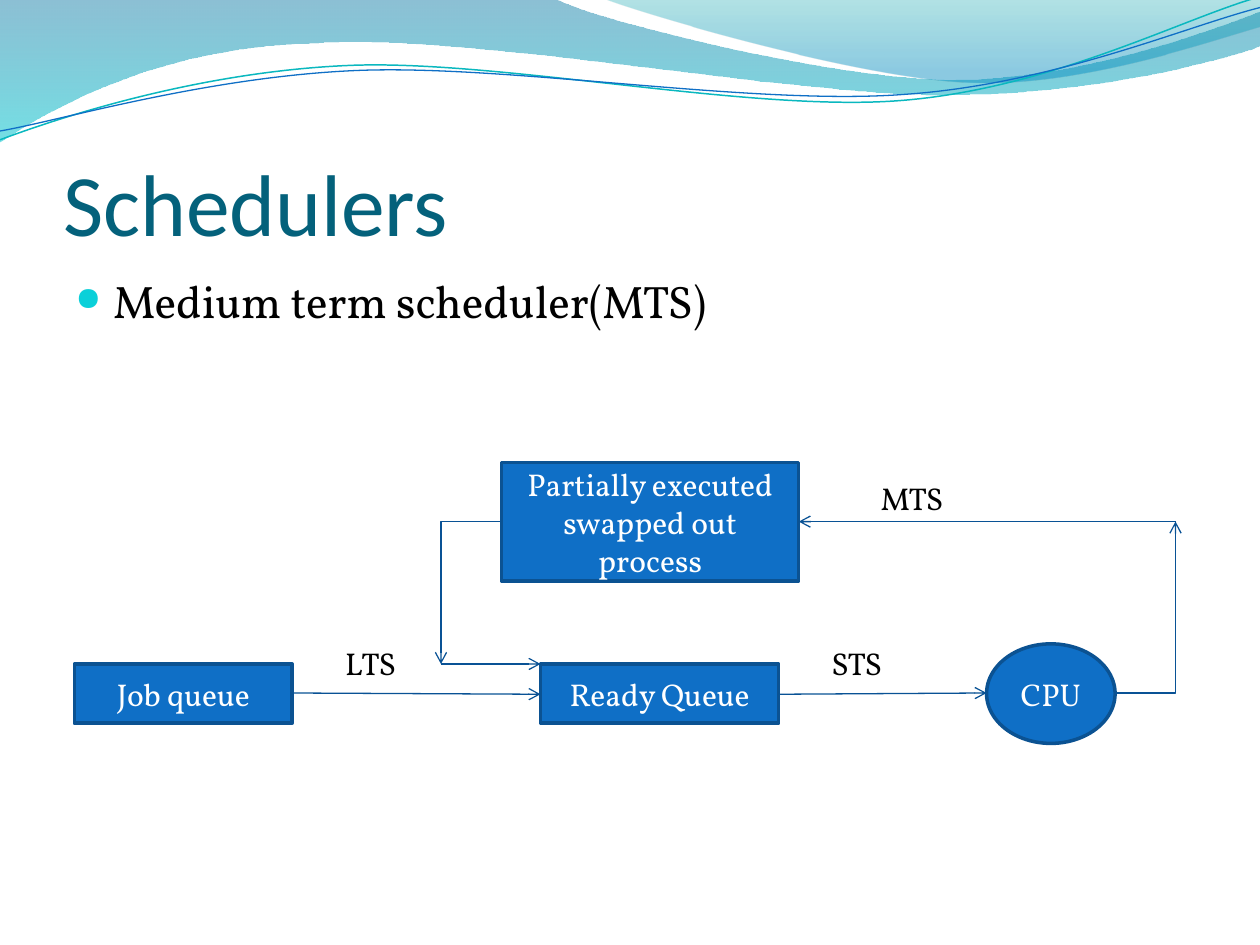
from lxml import etree
from pptx import Presentation
from pptx import util as u
from pptx.dml import color
from pptx.enum import shapes, text
from pptx.oxml import ns

WAVES = [
    dict(start=(0, 0), steps=[
        (4.4, -0.01), (4.76, 0.17, 6.64, 0.63, 7.58, 0.63),
        (8.53, 0.63, 9.58, 0.26, 10, 0.09), (10.01, 0.36),
        (9.83, 0.44, 8.7, 0.76, 7.46, 0.75), (6.22, 0.75, 3.82, 0.28, 2.57, 0.34),
        (1.29, 0.36, 0.46, 0.83, -0.01, 1.13)],
        stops=[(0, "0074A1", 45), (1, "00C6CF", 55)]),
    dict(start=(4.79, -0.01), steps=[
        (5.09, 0.11, 6.82, 0.62, 7.69, 0.65), (8.56, 0.69, 9.61, 0.32, 10, 0.21), (10, 0)],
        stops=[(0, "00A1A9", 30), (0.8, "008BBF", 45)]),
    dict(start=(0, 1.11), steps=[
        (0.48, 0.93, 1.58, 0.57, 2.77, 0.52), (3.95, 0.47, 5.93, 0.89, 7.13, 0.8),
        (8.33, 0.71, 9.38, 0.15, 9.98, -0.02)], line=("0AB8BF", 0.85)),
    dict(start=(0, 1.04), steps=[
        (0.47, 0.96, 1.64, 0.61, 2.83, 0.56), (4.03, 0.51, 5.97, 0.84, 7.17, 0.75),
        (8.36, 0.67, 9.41, 0.21, 10, 0.06)], line=("0F6FC6", 0.75)),
]


def rgb(value):
    """Return the colour for a hex string."""
    return color.RGBColor.from_string(value)


def inches(values):
    """Convert a sequence of numbers to lengths."""
    return [u.Inches(value) for value in values]


def add_xml(parent, tag, **attributes):
    """Append a DrawingML element with the given attributes."""
    return etree.SubElement(parent, ns.qn(tag), attributes)


def write(shape, words, font="Vollkorn", size=18, fill="000000", align="LEFT",
          anchor="TOP", fit="NONE", insets=(0.1, 0.05, 0.1, 0.05)):
    """Put formatted text into a shape and return its paragraph."""
    frame = shape.text_frame
    frame.word_wrap = True
    frame.auto_size = getattr(text.MSO_AUTO_SIZE, fit)
    frame.vertical_anchor = getattr(text.MSO_ANCHOR, anchor)
    (frame.margin_left, frame.margin_top,
     frame.margin_right, frame.margin_bottom) = inches(insets)
    paragraph = frame.paragraphs[0]
    paragraph.alignment = getattr(text.PP_ALIGN, align)
    run = paragraph.add_run()
    run.text = words
    run.font.name, run.font.size = font, u.Pt(size)
    run.font.color.rgb = rgb(fill)
    return paragraph


def bend(shape, steps):
    """Turn each three segments of a cubic step into one curve."""
    segments = iter(list(shape._element.spPr.iter(ns.qn("a:lnTo"))))
    for step in steps:
        group = [next(segments) for _ in range(len(step) // 2)]
        if len(group) == 3:
            group[0].tag = ns.qn("a:cubicBezTo")
            for segment in group[1:]:
                group[0].append(segment[0])
                segment.getparent().remove(segment)


class SchedulerSlide:
    """Hold the diagram style and the current slide."""

    box_fill, box_line, arrow_line = "0F6FC6", "0B5292", "095295"

    def __init__(self, presentation):
        self.slide = presentation.slides.add_slide(presentation.slide_layouts[5])
        self.shapes = self.slide.shapes

    def wave(self, start, steps, stops=None, line=None):
        """Draw a gradient wave or a curved line."""
        builder = self.shapes.build_freeform(*inches(start))
        points = [inches(step[index:index + 2])
                  for step in steps for index in range(0, len(step), 2)]
        builder.add_line_segments(points, close=bool(stops))
        shape = builder.convert_to_shape()
        bend(shape, steps)
        shape.shadow.inherit = False
        if line:
            shape.fill.background()
            shape.line.color.rgb, shape.line.width = rgb(line[0]), u.Pt(line[1])
            return
        shape.line.fill.background()
        shape.fill.gradient()
        shape.fill.gradient_angle = 270
        for stop, (position, shade, _) in zip(shape.fill.gradient_stops, stops):
            stop.position, stop.color.rgb = position, rgb(shade)
        shades = shape._element.spPr.iter(ns.qn("a:srgbClr"))
        for element, (_, _, opacity) in zip(list(shades), stops):
            add_xml(element, "a:alpha", val=str(opacity * 1000))

    def title(self, words, place):
        """Place the title in front of the waves."""
        title = self.shapes.title
        title.left, title.top, title.width, title.height = inches(place)
        write(title, words, font="Calibri", size=50, fill="04617B",
              anchor="BOTTOM", insets=(0, 0.05, 0, 0))
        self.shapes._spTree.append(title._element)

    def bullet(self, words, place):
        """Add a bulleted line of body text."""
        paragraph = write(self.shapes.add_textbox(*inches(place)), words, size=26)
        paragraph.space_before = u.Pt(5)
        properties = paragraph._p.get_or_add_pPr()
        properties.set("marL", str(u.Inches(0.3)))
        properties.set("indent", str(u.Inches(-0.3)))
        add_xml(add_xml(properties, "a:buClr"), "a:srgbClr", val="0BD0D9")
        add_xml(properties, "a:buSzPct", val="72000")
        add_xml(properties, "a:buChar", char="●")

    def node(self, words, place, kind="RECTANGLE"):
        """Add a filled shape with centred text."""
        shape = self.shapes.add_shape(getattr(shapes.MSO_SHAPE, kind), *inches(place))
        shape.shadow.inherit = False
        shape.fill.solid()
        shape.fill.fore_color.rgb = rgb(self.box_fill)
        shape.line.color.rgb, shape.line.width = rgb(self.box_line), u.Pt(2)
        write(shape, words, fill="FFFFFF", align="CENTER", anchor="MIDDLE")

    def label(self, words, left, top):
        """Add a label above an arrow."""
        box = self.shapes.add_textbox(*inches((left, top, 1.18, 0.42)))
        write(box, words, fit="SHAPE_TO_FIT_TEXT")

    def arrow(self, start, end, bent=False):
        """Add a straight or one-corner arrow."""
        kind = shapes.MSO_CONNECTOR.ELBOW if bent else shapes.MSO_CONNECTOR.STRAIGHT
        connector = self.shapes.add_connector(kind, *inches(start + end))
        connector.line.color.rgb, connector.line.width = rgb(self.arrow_line), u.Pt(0.75)
        properties = connector._element.spPr
        if bent:
            properties.find(ns.qn("a:prstGeom")).set("prst", "bentConnector2")
        add_xml(connector.line._get_or_add_ln(), "a:tailEnd", type="arrow")
        add_xml(properties, "a:effectLst")


def main():
    """Build and save the slide."""
    presentation = Presentation()
    presentation.slide_width, presentation.slide_height = inches((10, 7.5))
    page = SchedulerSlide(presentation)
    for wave in WAVES:
        page.wave(**wave)
    page.title("Schedulers", (0.5, 0.77, 9, 1.25))
    page.bullet("Medium term scheduler(MTS)", (0.5, 2.12, 9, 4.8))

    page.node("Job queue", (0.59, 5.27, 1.73, 0.47))
    page.node("Ready Queue", (4.29, 5.27, 1.89, 0.47))
    page.node("Partially executed swapped out process", (3.98, 3.67, 2.36, 0.94))
    page.node("CPU", (7.83, 5.11, 1.02, 0.79), kind="OVAL")

    page.arrow((2.32, 5.5), (4.29, 5.51))
    page.arrow((6.18, 5.51), (7.83, 5.5))
    page.arrow((8.86, 5.5), (9.33, 4.14), bent=True)
    page.arrow((9.33, 4.14), (6.34, 4.14))
    page.arrow((3.98, 4.14), (3.5, 5.27), bent=True)
    page.arrow((3.5, 5.27), (4.29, 5.27))

    page.label("LTS", 2.64, 5.06)
    page.label("STS", 6.5, 5.06)
    page.label("MTS", 6.89, 3.75)
    presentation.save("out.pptx")


if __name__ == "__main__":
    main()
